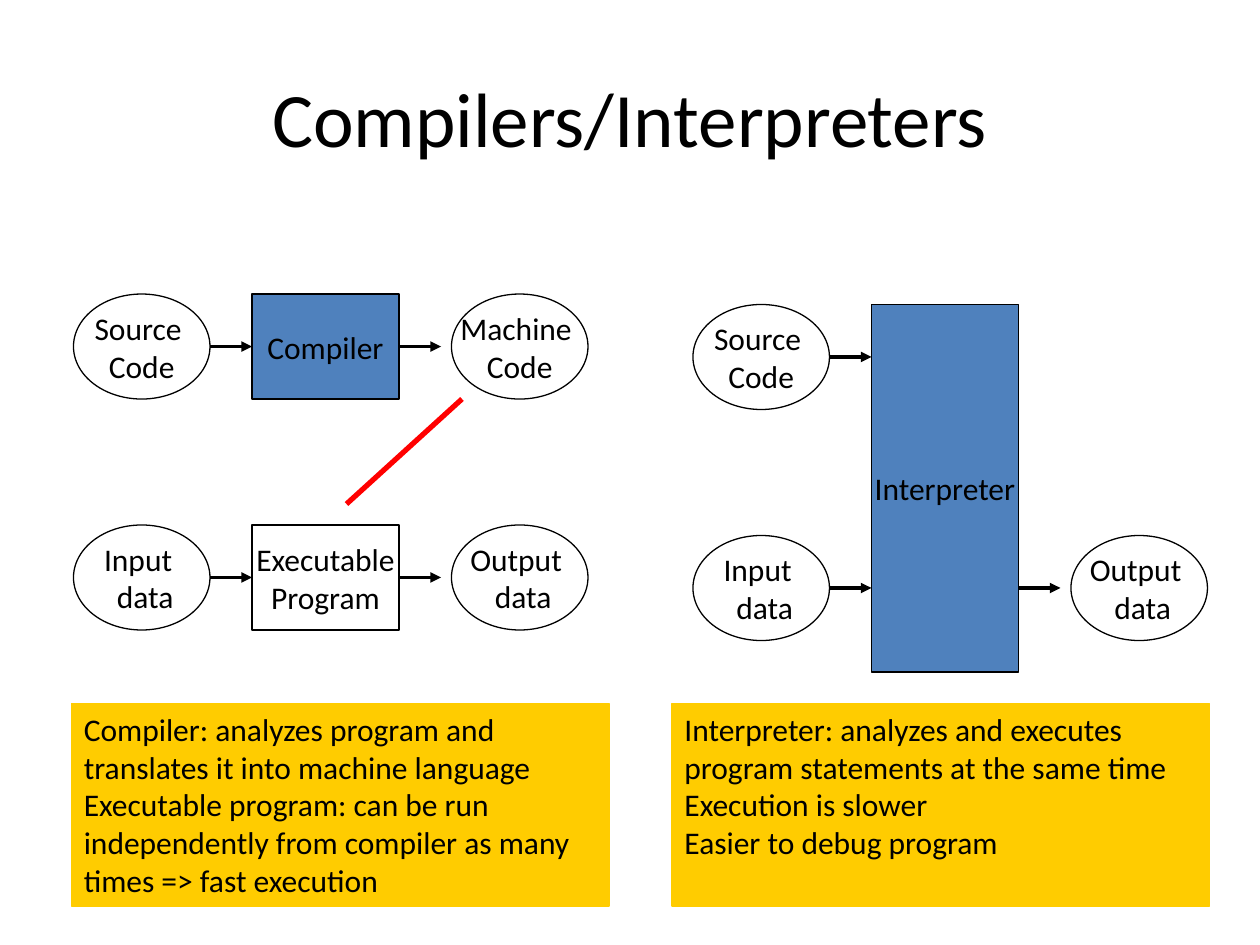
from dataclasses import dataclass

from lxml import etree
from pptx import Presentation
from pptx.dml.color import RGBColor
from pptx.enum.shapes import MSO_CONNECTOR, MSO_SHAPE
from pptx.enum.text import MSO_ANCHOR, PP_ALIGN
from pptx.oxml.ns import qn
from pptx.util import Inches, Pt

RECTANGLE, ELLIPSE = MSO_SHAPE.RECTANGLE, MSO_SHAPE.OVAL
STRAIGHT = MSO_CONNECTOR.STRAIGHT
CENTER, LEFT = PP_ALIGN.CENTER, PP_ALIGN.LEFT
MIDDLE, TOP = MSO_ANCHOR.MIDDLE, MSO_ANCHOR.TOP

# The slide is a grid of 120 columns by 90 rows, twelve to the inch.
COLUMNS, ROWS, PER_INCH = 120, 90, 12
STAGE_HEIGHT = 10
DATA_WIDTH, PROCESS_WIDTH = 13, 14
INPUT_COLUMN, PROCESS_COLUMN, OUTPUT_COLUMN = 0, 17, 36
ARROW_LENGTH = 4
SECOND_STAGE = 22  # rows from the first stage to the second


@dataclass(frozen=True)
class Theme:
    font: str = "Calibri"
    title_size: int = 44
    body_size: int = 18
    ink: str = "000000"
    process: str = "4F81BD"
    note: str = "FFCC00"
    link: str = "FF0000"
    outline: float = 0.75
    arrow: float = 2
    link_width: float = 3


THEME = Theme()


def grid(*cells):
    return [Inches(cell / PER_INCH) for cell in cells]


def write(shape, text, size=THEME.body_size, align=CENTER, anchor=MIDDLE, wrap=False):
    """Fill a shape with text, one paragraph for each line."""
    frame = shape.text_frame
    frame.word_wrap = wrap
    frame.vertical_anchor = anchor
    frame.text = text
    for paragraph in frame.paragraphs:
        paragraph.alignment = align
        font = paragraph.runs[0].font
        font.name, font.size = THEME.font, Pt(size)
        font.color.rgb = RGBColor.from_string(THEME.ink)


def add_box(slide, kind, cells, text, fill=None, line=THEME.ink, **text_format):
    box = slide.shapes.add_shape(kind, *grid(*cells))
    box.shadow.inherit = False
    if fill:
        box.fill.solid()
        box.fill.fore_color.rgb = RGBColor.from_string(fill)
    else:
        box.fill.background()
    box.line.color.rgb = RGBColor.from_string(line)
    box.line.width = Pt(THEME.outline)
    write(box, text, **text_format)


def add_line(slide, start, end, color=THEME.ink, width=THEME.arrow, arrowhead=True):
    connector = slide.shapes.add_connector(STRAIGHT, *grid(*start, *end))
    connector.line.color.rgb = RGBColor.from_string(color)
    connector.line.width = Pt(width)
    if arrowhead:
        outline = connector.line._get_or_add_ln()
        etree.SubElement(outline, qn("a:tailEnd"), type="triangle")
    etree.SubElement(connector._element.spPr, qn("a:effectLst"))


def add_data(slide, column, row, text):
    add_box(slide, ELLIPSE, (column, row, DATA_WIDTH, STAGE_HEIGHT), text)


def add_process(slide, column, row, text, height=STAGE_HEIGHT, fill=None):
    add_box(slide, RECTANGLE, (column, row, PROCESS_WIDTH, height), text, fill=fill)


def add_stage(slide, column, row, source, result=None):
    """Draw the data on either side of a process, with arrows in and out."""
    flows = [(INPUT_COLUMN, source, INPUT_COLUMN + DATA_WIDTH)]
    if result:
        flows.append((OUTPUT_COLUMN, result, PROCESS_COLUMN + PROCESS_WIDTH))
    middle = row + STAGE_HEIGHT / 2
    for offset, text, arrow in flows:
        add_data(slide, column + offset, row, text)
        start = column + arrow
        add_line(slide, (start, middle), (start + ARROW_LENGTH, middle))


def add_compiler(slide, column, row):
    process = column + PROCESS_COLUMN
    second = row + SECOND_STAGE
    add_process(slide, process, row, "Compiler", fill=THEME.process)
    add_process(slide, process, second, "Executable\nProgram")
    add_stage(slide, column, row, "Source \nCode", "Machine \nCode")
    add_stage(slide, column, second, "Input \n data", "Output \n data")
    add_line(slide, (process + 9, second - 2),
             (column + OUTPUT_COLUMN + 1, row + STAGE_HEIGHT),
             color=THEME.link, width=THEME.link_width, arrowhead=False)


def add_interpreter(slide, column, row):
    add_process(slide, column + PROCESS_COLUMN, row, "Interpreter",
                height=35, fill=THEME.process)
    add_stage(slide, column, row, "Source \nCode")
    add_stage(slide, column, row + SECOND_STAGE, "Input \n data", "Output \n data")


def add_note(slide, column, text):
    add_box(slide, RECTANGLE, (column, 67, 51.2, 19.3), text, fill=THEME.note,
            line=THEME.note, align=LEFT, anchor=TOP, wrap=True)


def main():
    deck = Presentation()
    deck.slide_width, deck.slide_height = grid(COLUMNS, ROWS)
    slide = deck.slides.add_slide(deck.slide_layouts[6])

    title = slide.shapes.add_textbox(*grid(6, 3.6, 108, 15))
    write(title, "Compilers/Interpreters", size=THEME.title_size, wrap=True)

    add_compiler(slide, 7, 28)
    add_interpreter(slide, 66, 29)
    add_note(slide, 6.8,
             "Compiler: analyzes program and translates it into machine language\n"
             "Executable program: can be run independently from compiler "
             "as many times => fast execution")
    add_note(slide, 64,
             "Interpreter: analyzes and executes program statements at the same time\n"
             "Execution is slower\n"
             "Easier to debug program")
    deck.save("out.pptx")


if __name__ == "__main__":
    main()
